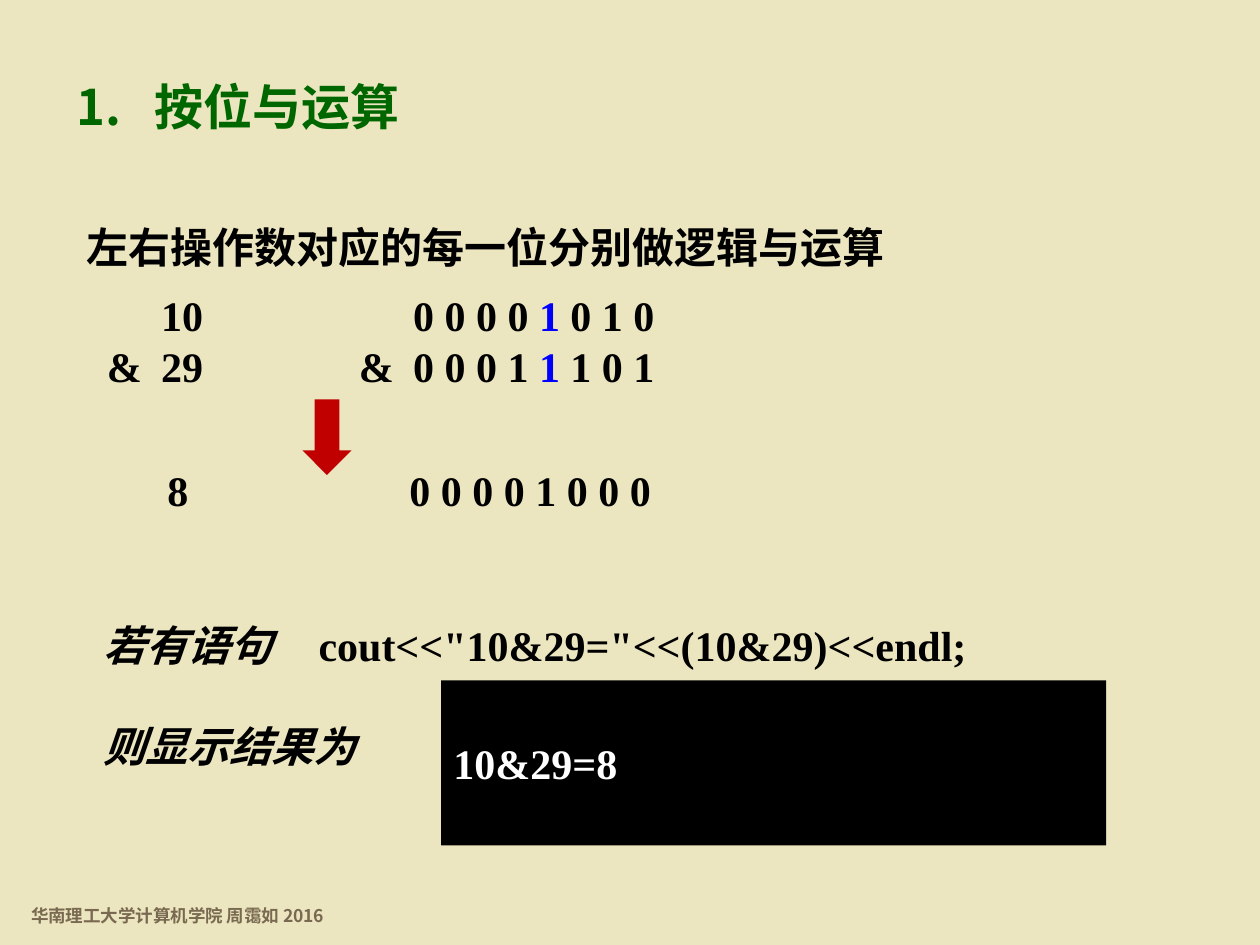
from lxml import etree
from pptx import Presentation
from pptx import util as u
from pptx.dml.color import RGBColor
from pptx.enum import shapes, text
from pptx.oxml.ns import qn

COLS, ROWS = 40, 30
CELL = u.Inches(0.25)
SANS, SERIF = "Noto Sans CJK SC", "Times New Roman"
INK, BLUE, WHITE = "000000", "0000FF", "FFFFFF"


def tint(code):
    return RGBColor.from_string(code)


def span(cells):
    return u.Emu(round(cells * CELL))


class Deck:
    """Style and current slide; all lengths are grid cells."""

    def __init__(self, back):
        self.prs = Presentation()
        self.prs.slide_width = span(COLS)
        self.prs.slide_height = span(ROWS)
        self.slide = self.prs.slides.add_slide(self.prs.slide_layouts[5])
        fill = self.slide.background.fill
        fill.solid()
        fill.fore_color.rgb = tint(back)

    def typeset(self, frame, lines, size=24, face=SERIF, color=INK, tabs=(),
                gap=None, dent=0, align=text.PP_ALIGN.LEFT,
                anchor=text.MSO_ANCHOR.TOP, wrap=True):
        """Each line is a list of (words, colour or None, italic)."""
        frame.word_wrap = wrap
        frame.auto_size = text.MSO_AUTO_SIZE.NONE
        frame.vertical_anchor = anchor
        for i, line in enumerate(lines):
            para = frame.add_paragraph() if i else frame.paragraphs[0]
            props = para._p.get_or_add_pPr()
            if tabs:
                stops = etree.SubElement(props, qn("a:tabLst"))
                for tab in tabs:
                    etree.SubElement(stops, qn("a:tab"),
                                     pos=str(span(tab)), algn="l")
            if dent:
                props.set("marL", "0")
                props.set("indent", str(span(dent)))
            para.alignment = align
            if gap:
                para.line_spacing = gap
            for words, hue, slant in line:
                run = para.add_run()
                run.text = words
                font = run.font
                font.size, font.name = u.Pt(size), face
                font.bold, font.italic = True, slant
                font.color.rgb = tint(hue or color)
                etree.SubElement(run._r.get_or_add_rPr(), qn("a:ea"),
                                 typeface=SANS)

    def title(self, box, words, **style):
        head = self.slide.shapes.title
        head.left, head.top, head.width, head.height = map(span, box)
        self.typeset(head.text_frame, [[(words, None, False)]], **style)

    def label(self, box, lines, **style):
        area = self.slide.shapes.add_textbox(*map(span, box))
        self.typeset(area.text_frame, lines, **style)

    def block(self, kind, box, color):
        form = self.slide.shapes.add_shape(kind, *map(span, box))
        form.shadow.inherit = False
        form.fill.solid()
        form.fill.fore_color.rgb = tint(color)
        form.line.fill.background()
        return form


def plain(words):
    return [(words, None, False)]


def mark(left, right):
    """A row of bits whose middle 1 is picked out."""
    return [(left + " ", None, False), ("1", BLUE, False),
            (" " + right, None, False)]


def main():
    deck = Deck("ECE6C0")
    mid = text.MSO_ANCHOR.MIDDLE

    # Heading and rule
    deck.title((2.04, 2.24, 24.32, 2.68), "1.\t按位与运算", size=28,
               face=SANS, color="006600", tabs=[2.48])
    deck.label((2.36, 5.24, 29.92, 3.04),
               [plain("左右操作数对应的每一位分别做逻辑与运算")],
               face=SANS, gap=2)

    # Operands in decimal and binary
    deck.label((3, 9, 20.96, 3.64),
               [mark("\t10\t\t0 0 0 0", "0 1 0"),
                mark("&\t29\t&\t0 0 0 1", "1 0 1")],
               tabs=[1.72, 8, 9.72])

    # Arrow and result
    deck.block(shapes.MSO_SHAPE.DOWN_ARROW, (9.6, 12.68, 1.56, 2.4), "C00000")
    deck.label((4.24, 14.56, 17, 2.04), [plain("\t8\t0 0 0 0 1 0 0 0")],
               tabs=[0.68, 8.36])

    # Statement and its output
    deck.label((1.72, 18.08, 36.24, 6.36),
               [[("若有语句\t", None, True),
                 ('cout<<"10&29="<<(10&29)<<endl;', None, False)],
                [("则显示结果为", None, True)]],
               tabs=[12.6], gap=2, dent=1.16, anchor=mid)
    screen = deck.block(shapes.MSO_SHAPE.RECTANGLE,
                        (14, 21.6, 21.12, 5.24), INK)
    deck.typeset(screen.text_frame, [plain("10&29=8")], color=WHITE,
                 anchor=mid)

    # Footer
    deck.label((0.32, 28.52, 10.64, 1.08),
               [plain("华南理工大学计算机学院 周霭如 2016")], size=10, face=SANS,
               color="786950", align=text.PP_ALIGN.CENTER, wrap=False)

    deck.prs.save("out.pptx")


if __name__ == "__main__":
    main()
